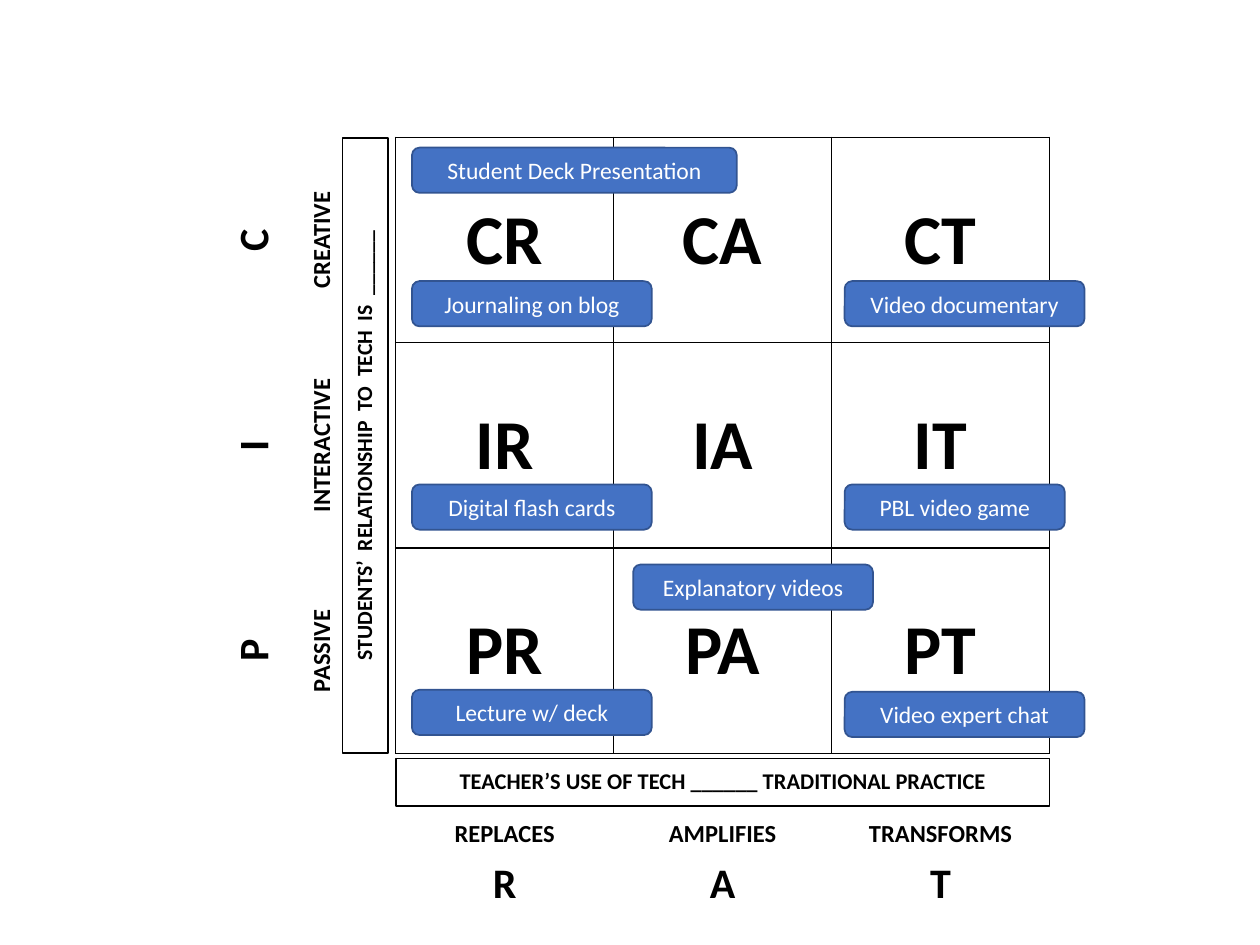
"""Build a three-by-three matrix of technology use in class with sample activities."""
from lxml import etree
from pptx import Presentation
from pptx import util as u
from pptx.dml.color import RGBColor
from pptx.enum import shapes, text
from pptx.oxml.ns import qn

BLACK = RGBColor(0x00, 0x00, 0x00)
WHITE = RGBColor(0xFF, 0xFF, 0xFF)
BLUE = RGBColor(0x44, 0x72, 0xC4)
NAVY = RGBColor(0x32, 0x54, 0x91)

MIDDLE = text.MSO_ANCHOR.MIDDLE
PILL_HEIGHT = 0.22
LEFT, CENTRE, RIGHT = 0.075, 1.09, 2.06
ACTIVITIES = [
    ("Student Deck Presentation", LEFT, 0.05, 1.49),
    ("Journaling on blog", LEFT, 0.7, 1.1),
    ("Digital flash cards", LEFT, 1.69, 1.1),
    ("Lecture w/ deck", LEFT, 2.69, 1.1),
    ("Explanatory videos", CENTRE, 2.08, 1.1),
    ("Video expert chat", RIGHT, 2.7, 1.1),
    ("PBL video game", RIGHT, 1.69, 1.01),
    ("Video documentary", RIGHT, 0.7, 1.1),
]
LEVELS = ["CREATIVE", "INTERACTIVE", "PASSIVE"]
USES = ["REPLACES", "AMPLIFIES", "TRANSFORMS"]


def write(tf, words, size, color=BLACK, bold=True, spacing=None):
    """Put one centred, formatted paragraph into a text frame."""
    p = tf.paragraphs[0]
    p.alignment = text.PP_ALIGN.CENTER
    if spacing:
        p.line_spacing = spacing
    r = p.add_run()
    r.text = words
    r.font.name, r.font.size, r.font.bold = "Calibri", u.Pt(size), bold
    r.font.color.rgb = color


class Matrix:
    """Style and current slide, measured in columns and rows of the matrix."""

    X, Y, COL, ROW = 3.14, 1.09, 1.73, 1.63

    def __init__(self, prs):
        """Add a title-only slide."""
        self.s = prs.slides.add_slide(prs.slide_layouts[5])

    def place(self, col, row, cols, rows):
        """Turn a grid position and extent into slide lengths."""
        return (u.Inches(self.X + col * self.COL), u.Inches(self.Y + row * self.ROW),
                u.Inches(cols * self.COL), u.Inches(rows * self.ROW))

    def paint(self, sp, fill, line):
        """Give a shape its fill and outline."""
        sp.fill.solid()
        sp.fill.fore_color.rgb = fill
        sp.line.color.rgb = line
        sp.line.width = u.Pt(1)
        sp.text_frame.vertical_anchor = MIDDLE

    def title(self, words, *at):
        """Move and format the title placeholder."""
        sp = self.s.shapes.title
        sp.left, sp.top, sp.width, sp.height = self.place(*at)
        self.paint(sp, WHITE, BLACK)
        sp.text_frame.auto_size = text.MSO_AUTO_SIZE.NONE
        write(sp.text_frame, words, 12.8, spacing=0.9)

    def box(self, words, kind, at, fill, line, rotation=0, **style):
        """Add a filled shape with one line of text."""
        sp = self.s.shapes.add_shape(kind, *self.place(*at))
        sp.shadow.inherit = False
        sp.rotation = rotation
        self.paint(sp, fill, line)
        tf = sp.text_frame
        tf.word_wrap = True
        tf.margin_left = tf.margin_right = u.Inches(0.07)
        tf.margin_top = tf.margin_bottom = u.Inches(0.04)
        write(tf, words, **style)

    def borders(self, cell, color):
        """Draw all four borders of a cell, or clear them without a colour."""
        tc_pr = cell._tc.get_or_add_tcPr()
        for side in ("a:lnL", "a:lnR", "a:lnT", "a:lnB"):
            ln = etree.SubElement(tc_pr, qn(side), w=str(u.Pt(1)))
            if color is None:
                etree.SubElement(ln, qn("a:noFill"))
            else:
                solid = etree.SubElement(ln, qn("a:solidFill"))
                etree.SubElement(solid, qn("a:srgbClr"), val=str(color))

    def table(self, at, widths, heights, cells, size, line=None, fill=None,
              margin=0.07, vert=None, anchors=(MIDDLE,) * 3):
        """Add a table; size maps a cell's words to its point size."""
        place = self.place(*at, sum(widths), sum(heights))
        tbl = self.s.shapes.add_table(len(heights), len(widths), *place).table
        tbl.first_row = tbl.horz_banding = False
        for column, width in zip(tbl.columns, widths):
            column.width = u.Inches(width * self.COL)
        for row, height, words, anchor in zip(tbl.rows, heights, cells, anchors):
            row.height = u.Inches(height * self.ROW)
            for cell, word in zip(row.cells, words):
                self.borders(cell, line)
                if fill is None:
                    cell.fill.background()
                else:
                    cell.fill.solid()
                    cell.fill.fore_color.rgb = fill
                cell.margin_left = cell.margin_right = u.Inches(margin)
                cell.margin_top = cell.margin_bottom = u.Inches(0.04)
                cell.vertical_anchor = anchor
                if vert:
                    cell._tc.get_or_add_tcPr().set("vert", vert)
                write(cell.text_frame, word, size(word))


def label_size(word):
    """Return the size of an axis label: large initials, small words."""
    return 24 if len(word) == 1 else 14


def main():
    """Build and save the slide."""
    prs = Presentation()
    prs.slide_width, prs.slide_height = u.Inches(10), u.Inches(7.5)
    m = Matrix(prs)
    m.title("TEACHER’S USE OF TECH ______ TRADITIONAL PRACTICE", 0, 3.025, 3, 0.23)
    m.table((0, 0), [1] * 3, [1] * 3,
            [[level[0] + use[0] for use in USES] for level in LEVELS],
            lambda word: 40, line=BLACK, fill=WHITE, margin=0.08)
    m.box("STUDENTS’  RELATIONSHIP  TO  TECH  IS  ______", shapes.MSO_SHAPE.RECTANGLE,
          (-1.55, 1.39, 2.82, PILL_HEIGHT), WHITE, BLACK, rotation=270,
          size=12.4, spacing=0.9)
    m.table((-0.79, 0), [0.36, 0.18], [1] * 3,
            [[level[0], level] for level in LEVELS], label_size, vert="vert270")
    m.table((0, 3.295), [1] * 3, [0.185, 0.29],
            [USES, [use[0] for use in USES]], label_size,
            anchors=(text.MSO_ANCHOR.TOP, MIDDLE))
    for words, col, row, cols in ACTIVITIES:
        m.box(words, shapes.MSO_SHAPE.ROUNDED_RECTANGLE, (col, row, cols, PILL_HEIGHT),
              BLUE, NAVY, size=13.5, color=WHITE, bold=False)
    prs.save("out.pptx")


if __name__ == "__main__":
    main()
